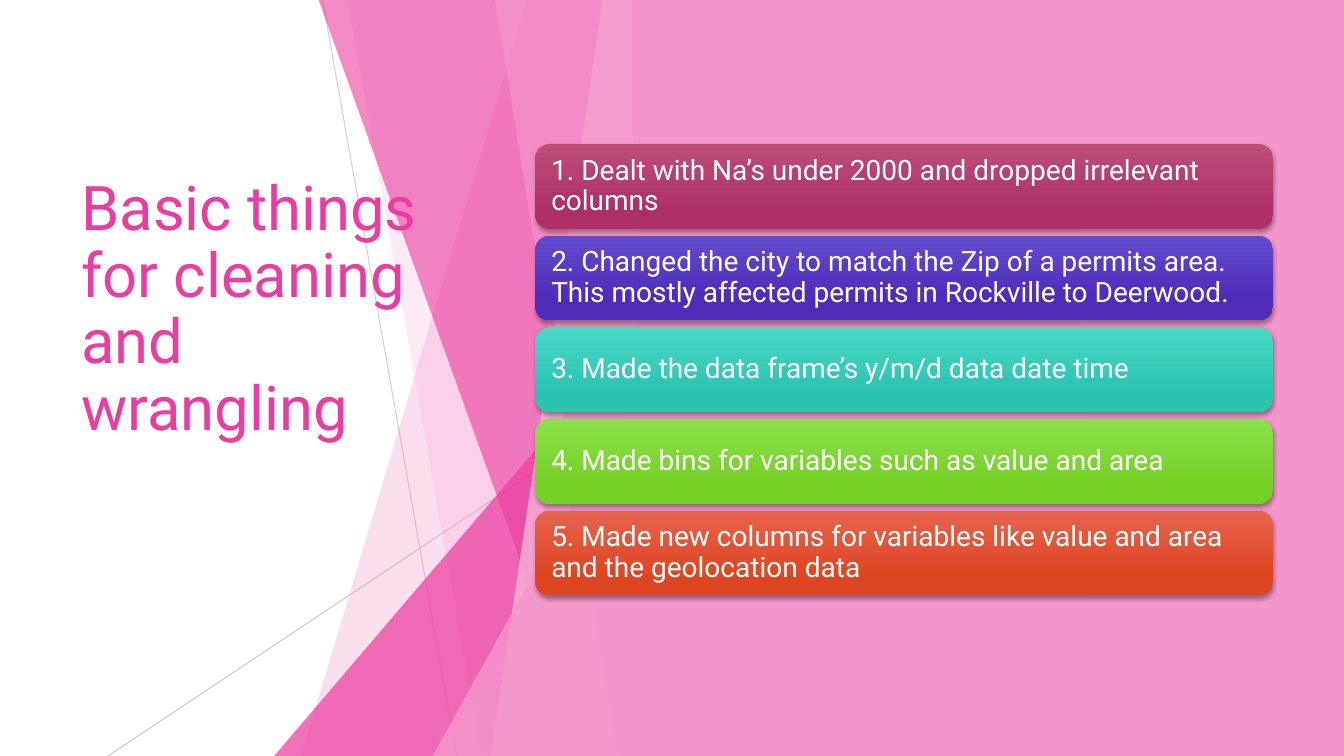
"""Build a slide listing five data cleaning steps beside a faceted title panel."""
from dataclasses import dataclass

from lxml.etree import SubElement
from pptx import Presentation
from pptx.dml.color import RGBColor
from pptx.enum.shapes import MSO_CONNECTOR as Link, MSO_SHAPE as Preset
from pptx.enum.text import MSO_ANCHOR as Anchor, MSO_AUTO_SIZE as Fit, PP_ALIGN as Align
from pptx.oxml.ns import qn
from pptx.util import Cm, Pt


@dataclass(frozen=True)
class Theme:
    font: str = "Roboto"
    title_size: int = 44
    step_size: int = 20
    magenta: str = "EB3D9F"
    pink: str = "F496CB"
    pale: str = "F8C0E0"
    grey: str = "BFBFBF"
    white: str = "FFFFFF"
    shadow: str = "000000"
    steps: tuple = (
        ("BF4E79", "AC3066"),
        ("634BCD", "4C2CB9"),
        ("4AD8C5", "2AC4B1"),
        ("89E04B", "76D026"),
        ("E7634C", "DE4522"),
    )


def paint(fill, color, opacity=100):
    fill.solid()
    fill.fore_color.rgb = RGBColor.from_string(color)
    if opacity < 100:
        solid = fill._xPr.find(qn("a:solidFill"))
        SubElement(solid[0], qn("a:alpha"), val=str(opacity * 1000))


def write(frame, text, size, color, inset, bottom):
    frame.text = text
    frame.word_wrap = True
    frame.auto_size = Fit.NONE
    frame.vertical_anchor = Anchor.MIDDLE
    frame.margin_left = frame.margin_right = Cm(inset)
    frame.margin_top, frame.margin_bottom = Cm(0.13), Cm(bottom)
    paragraph = frame.paragraphs[0]
    paragraph.alignment = Align.LEFT
    paragraph.line_spacing = 0.9
    font = paragraph.runs[0].font
    font.name, font.size = theme.font, Pt(size)
    font.color.rgb = RGBColor.from_string(color)


theme = Theme()
WIDTH, HEIGHT, EDGE = 33.87, 19.05, 15.95

deck = Presentation()
deck.slide_width, deck.slide_height = Cm(WIDTH), Cm(HEIGHT)
slide = deck.slides.add_slide(deck.slide_layouts[5])
shapes = slide.shapes

for x1, y1, x2, opacity in ((8.13, 0, 11.51, 75), (EDGE, 10.24, 2.72, 80)):
    ray = shapes.add_connector(Link.STRAIGHT, Cm(x1), Cm(y1), Cm(x2), Cm(HEIGHT))
    ray.line.width = Pt(0.75)
    paint(ray.line.fill, theme.grey, opacity)
    SubElement(ray.element.spPr, qn("a:effectLst"))

facets = (
    (13.28, 7.59, 0, theme.pink, 30),
    (8.76, 12.14, 0, theme.pink, 20),
    (EDGE, 6.91, 8.46, theme.magenta, 72),
    (8.03, 14.88, 0, theme.magenta, 60),
    (15.19, 12.37, 0, theme.pale, 70),
    (12.47, 15.57, 0, theme.pink, 65),
    (EDGE, 10.9, 9.98, theme.pink, 80),
)
for top_x, bottom_x, top, color, opacity in facets:
    if top_x == EDGE:
        facet = shapes.add_shape(Preset.ISOSCELES_TRIANGLE, Cm(bottom_x), Cm(top),
                                 Cm(EDGE - bottom_x), Cm(HEIGHT - top))
        facet.adjustments[0] = 1
    else:
        outline = shapes.build_freeform(Cm(top_x), Cm(top))
        outline.add_line_segments([(Cm(EDGE), Cm(top)), (Cm(EDGE), Cm(HEIGHT)),
                                   (Cm(bottom_x), Cm(HEIGHT))])
        facet = outline.convert_to_shape()
    paint(facet.fill, color, opacity)
    facet.line.fill.background()
    facet.shadow.inherit = False

title = shapes.title
title.left, title.top, title.width, title.height = Cm(1.8), Cm(3.84), Cm(9.86), Cm(11.38)
write(title.text_frame, "Basic things for cleaning and wrangling",
      size=theme.title_size, color=theme.magenta, inset=0.25, bottom=3.53)
shapes.element.append(title.element)

panel = shapes.add_shape(Preset.RECTANGLE, Cm(EDGE), 0, Cm(WIDTH - EDGE), Cm(HEIGHT))
paint(panel.fill, theme.pink)
panel.line.fill.background()
panel.shadow.inherit = False

steps = (
    "Dealt with Na’s under 2000 and dropped irrelevant columns",
    "Changed the city to match the Zip of a permits area. "
    "This mostly affected permits in Rockville to Deerwood.",
    "Made the data frame’s y/m/d data date time",
    "Made bins for variables such as value and area",
    "Made new columns for variables like value and area and the geolocation data",
)
for index, (step, shades) in enumerate(zip(steps, theme.steps)):
    card = shapes.add_shape(Preset.ROUNDED_RECTANGLE, Cm(13.49), Cm(3.63 + 2.31 * index),
                            Cm(18.59), Cm(2.13))
    card.fill.gradient()
    card.fill.gradient_angle = 270
    for stop, position, shade in zip(card.fill.gradient_stops, (0, 0.78), shades):
        stop.position = position
        stop.color.rgb = RGBColor.from_string(shade)
    card.line.fill.background()
    card.shadow.inherit = False
    effects = card.element.spPr.find(qn("a:effectLst"))
    shadow = SubElement(effects, qn("a:outerShdw"), blurRad=str(Pt(3)), dist=str(Pt(2)),
                        dir="5400000", algn="ctr", rotWithShape="0")
    shadow_color = SubElement(shadow, qn("a:srgbClr"), val=theme.shadow)
    SubElement(shadow_color, qn("a:alpha"), val="35000")
    write(card.text_frame, f"{index + 1}. {step}",
          size=theme.step_size, color=theme.white, inset=0.3, bottom=0.13)

deck.save("out.pptx")
